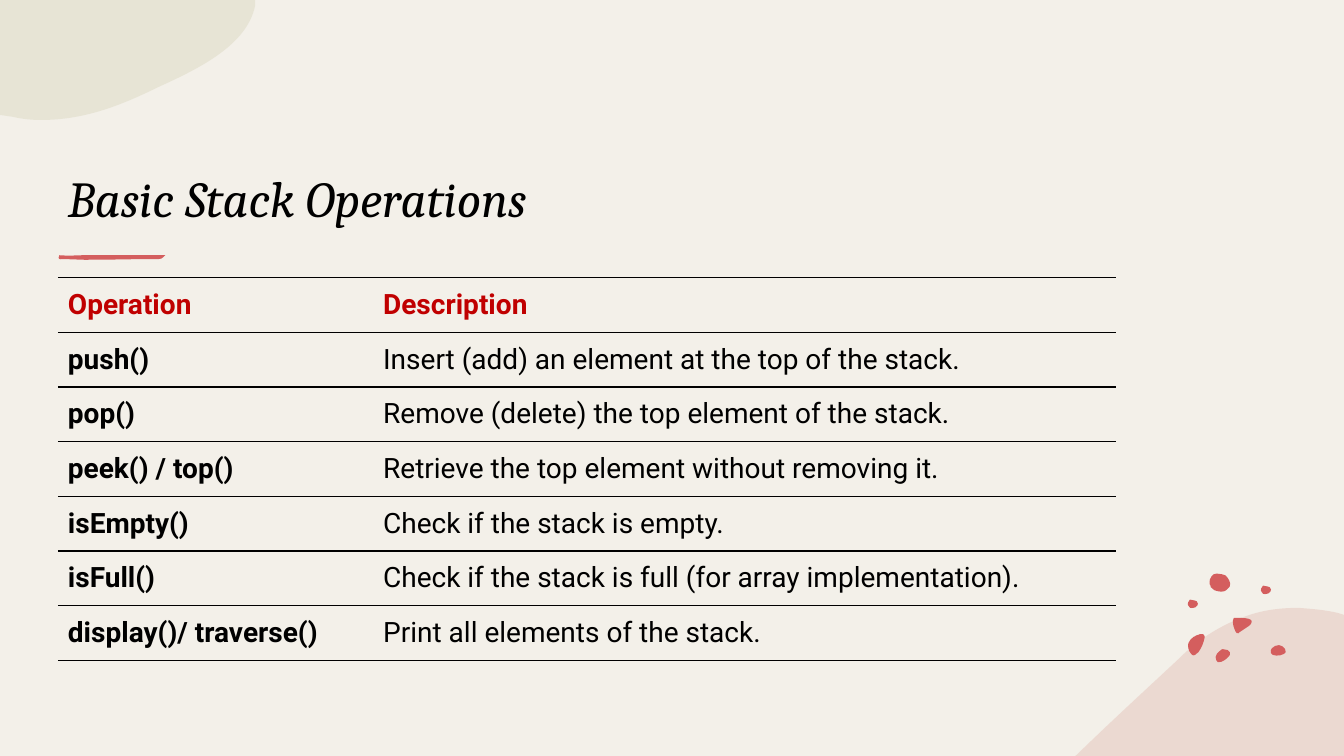
from dataclasses import dataclass

from lxml.etree import SubElement
from pptx import Presentation
from pptx.dml.color import RGBColor
from pptx.enum.text import MSO_ANCHOR
from pptx.oxml import parse_xml
from pptx.oxml.ns import nsdecls, qn
from pptx.util import Pt


@dataclass(frozen=True)
class Theme:
    paper: str = "F3F0E9"
    ink: str = "000000"
    heading: str = "C00000"
    coral: str = "D45E5E"
    blush: str = "E5C4BA"
    sage: str = "DCD9C3"
    title_font: str = "Cambria"
    body_font: str = "Roboto"
    title_size: float = 36
    body_size: float = 20


THEME = Theme()


@dataclass(frozen=True)
class Outline:
    """Closed outline: a segment is a line (x, y) or a cubic (x1, y1, x2, y2, x, y)."""
    start: tuple
    segments: tuple
    color: str = THEME.coral
    opacity: int = 100
    dx: float = 0
    dy: float = 0


@dataclass(frozen=True)
class Operation:
    name: str
    description: str


# Large soft corner shapes
CORNERS = (
    Outline((927.4, 434.2), (
        (936.7, 434.9, 946.1, 435.6, 955.4, 437.8), (960, 439.2), (960, 540),
        (768, 540), (769, 539.3), (793.4, 515.5, 818.6, 492.5, 841.7, 470.9),
        (857.5, 455, 874.1, 445.7, 890.6, 439.9),
        (902.9, 435.6, 915.1, 434.2, 927.4, 434.2)), THEME.blush, 50),
    Outline((0, 0), (
        (182.2, 0), (182.2, 4.3), (176.4, 31.7, 144, 48.2, 113.8, 61.9),
        (88.6, 74.2, 61.9, 85.7, 29.5, 85.7),
        (22.3, 85.7, 15.8, 85, 9.4, 83.5), (0, 82.1)), THEME.sage, 50),
)

# Pebbles at the lower right; the small one is used twice
SMALL_PEBBLE = (
    (900.7, 421.9, 900.7, 419, 902.2, 418.3), (903.6, 418.3, 904.3, 418.3, 905.8, 419),
    (906.5, 419, 907.9, 419.8, 907.9, 421.2), (907.9, 421.9, 907.2, 423.4, 906.5, 423.4),
    (906.5, 423.4, 906.5, 424.1, 905, 424.1), (904.3, 424.1, 902.9, 424.8, 902.2, 424.1),
    (901.4, 422.6, 900.7, 422.6, 900.7, 421.9))
PEBBLES = (
    Outline((873.4, 463.7), (
        (874.8, 463.7, 875.5, 463.7, 877, 464.4), (878.4, 465.1, 879.1, 466.6, 878.4, 468),
        (877, 470.2, 872.6, 473.8, 869.8, 473), (869, 472.3, 868.3, 470.9, 868.3, 469.4),
        (868.3, 468, 869.8, 465.8, 871.2, 465.1), (871.9, 464.4, 872.6, 463.7, 873.4, 463.7))),
    Outline((857.5, 452.9), (
        (859, 452.9, 860.4, 452.9, 860.4, 454.3), (860.4, 455, 860.4, 455, 860.4, 455.8),
        (859.7, 459.4, 858.2, 463, 856.1, 465.8), (854.6, 467.3, 852.5, 469.4, 851, 467.3),
        (848.9, 465.1, 848.2, 461.5, 848.9, 459.4), (849.6, 457.2, 851, 456.5, 852.5, 455),
        (853.2, 455, 855.4, 452.9, 857.5, 452.9))),
    Outline((913.7, 460.8), (
        (915.1, 460.8, 917.3, 462.2, 918, 463.7), (918.7, 465.1, 918.7, 466.6, 916.6, 467.3),
        (914.4, 468.7, 908.6, 468.7, 907.9, 466.6), (907.2, 465.1, 907.9, 463.7, 908.6, 463),
        (910.1, 461.5, 911.5, 460.8, 913.7, 460.8))),
    Outline((864.7, 418.3), (
        (864, 418.3, 863.3, 414, 865.4, 411.8), (866.9, 410.4, 866.9, 409.7, 869, 409.7),
        (871.2, 409.7, 874.1, 410.4, 875.5, 411.1), (877, 412.6, 879.8, 416.2, 878.4, 419),
        (876.2, 421.2, 875.5, 422.6, 872.6, 422.6), (870.5, 422.6, 866.9, 421.9, 866.2, 420.5),
        (864.7, 419.8, 864.7, 419, 864.7, 418.3))),
    Outline((900.7, 421.9), SMALL_PEBBLE),
    Outline((900.7, 421.9), SMALL_PEBBLE, dx=-52.2, dy=10),
    Outline((884.2, 441.4), (
        (888.5, 441.4, 896.4, 441.4, 893.5, 445.7), (893.5, 446.4, 892.8, 447.1, 892.1, 447.1),
        (889.9, 448.6, 887.8, 450, 885.6, 451.4), (884.9, 452.2, 884.2, 452.9, 883.4, 452.2),
        (883.4, 452.2, 882.7, 451.4, 882.7, 451.4), (881.3, 448.6, 880.6, 446.4, 880.6, 443.5),
        (880.6, 442.8, 880.6, 442.1, 881.3, 441.4))),
)

# Brush stroke under the title, with three loose bristle specks
SPECK = ((0.2, 0, 0.4, 0, 0.5, 0.1), (0.4, 0.2, 0.2, 0.2, 0, 0))
STROKE = (
    *(Outline((0, 0), SPECK, dx=x, dy=y) for x, y in ((42, 185), (43.1, 185.1), (117.5, 182.2))),
    Outline((61.9, 185.6), (
        (68, 185.3, 78, 185.6, 85, 185.3), (94, 185.2, 104, 185.1, 113, 185.1),
        (117.4, 185, 115.9, 183, 118.1, 182.2), (112, 182.1, 102, 182.3, 95.8, 182.2),
        (85, 182.3, 74, 182.4, 63.4, 182.2), (56, 182.3, 49, 182.9, 42.5, 182.3),
        (41.8, 183, 41, 185.5, 43.9, 185.1), (50, 185.1, 56, 185.5, 61.9, 185.6))),
)

OPERATIONS = (
    Operation("push()", "Insert (add) an element at the top of the stack."),
    Operation("pop()", "Remove (delete) the top element of the stack."),
    Operation("peek() / top()", "Retrieve the top element without removing it."),
    Operation("isEmpty()", "Check if the stack is empty."),
    Operation("isFull()", "Check if the stack is full (for array implementation)."),
    Operation("display()/ traverse()", "Print all elements of the stack."),
)


def write_text(tf, text: str, *, font: str = THEME.body_font, size: float = THEME.body_size,
               color: str = THEME.ink, bold: bool = False, italic: bool = False) -> None:
    r = tf.paragraphs[0].add_run()
    r.text = text
    r.font.name, r.font.size = font, Pt(size)
    r.font.bold, r.font.italic = bold, italic
    r.font.color.rgb = RGBColor.from_string(color)


def draw_outline(slide, outline: Outline) -> None:
    start, *rest = [(Pt(values[i] + outline.dx), Pt(values[i + 1] + outline.dy))
                    for values in (outline.start, *outline.segments)
                    for i in range(0, len(values), 2)]
    builder = slide.shapes.build_freeform(*start)
    builder.add_line_segments(rest, close=True)
    sp = builder.convert_to_shape()
    # Join the three points of each cubic into one curve
    lines = iter(sp._element.findall(".//" + qn("a:lnTo")))
    for segment in outline.segments:
        first = next(lines)
        if len(segment) == 6:
            first.tag = qn("a:cubicBezTo")
            for _ in range(2):
                line = next(lines)
                first.append(line[0])
                line.getparent().remove(line)
    sp.shadow.inherit = False
    sp.line.fill.background()
    sp.fill.solid()
    sp.fill.fore_color.rgb = RGBColor.from_string(outline.color)
    if outline.opacity < 100:
        color = sp._element.spPr.find(qn("a:solidFill"))[0]
        SubElement(color, qn("a:alpha"), val=str(outline.opacity * 1000))


def rule_cell(cell) -> None:
    """Clear fill, black rules above and below, none at the sides."""
    cell.fill.background()
    ink = f'<a:solidFill><a:srgbClr val="{THEME.ink}"/></a:solidFill>'
    sides = (("lnL", "<a:noFill/>"), ("lnR", "<a:noFill/>"), ("lnT", ink), ("lnB", ink))
    for i, (tag, paint) in enumerate(sides):
        border = parse_xml(f'<a:{tag} {nsdecls("a")} w="{Pt(1)}">{paint}</a:{tag}>')
        cell._tc.get_or_add_tcPr().insert(i, border)


def draw_table(slide) -> None:
    rows = (Operation("Operation", "Description"), *OPERATIONS)
    row_height, widths = 39.08, (225.2, 530.6)
    table = slide.shapes.add_table(len(rows), len(widths), Pt(41.3), Pt(198.3),
                                   Pt(sum(widths)), Pt(row_height * len(rows))).table
    table.first_row = table.horz_banding = False
    for column, width in zip(table.columns, widths):
        column.width = Pt(width)
    for i, row in enumerate(rows):
        table.rows[i].height = Pt(row_height)
        for j, text in enumerate((row.name, row.description)):
            cell = table.cell(i, j)
            cell.vertical_anchor = MSO_ANCHOR.MIDDLE
            rule_cell(cell)
            write_text(cell.text_frame, text, bold=i == 0 or j == 0,
                       color=THEME.heading if i == 0 else THEME.ink)


def draw_title(slide) -> None:
    tf = slide.shapes.add_textbox(Pt(41.4), Pt(62), Pt(793.4), Pt(104.4)).text_frame
    tf.word_wrap = True
    tf.vertical_anchor = MSO_ANCHOR.BOTTOM
    write_text(tf, "Basic Stack Operations", font=THEME.title_font,
               size=THEME.title_size, italic=True)


def main() -> None:
    prs = Presentation()
    prs.slide_width, prs.slide_height = Pt(960), Pt(540)
    slide = prs.slides.add_slide(prs.slide_layouts[6])
    slide.background.fill.solid()
    slide.background.fill.fore_color.rgb = RGBColor.from_string(THEME.paper)
    for outline in (*CORNERS, *PEBBLES, *STROKE):
        draw_outline(slide, outline)
    draw_title(slide)
    draw_table(slide)
    prs.save("out.pptx")


if __name__ == "__main__":
    main()
